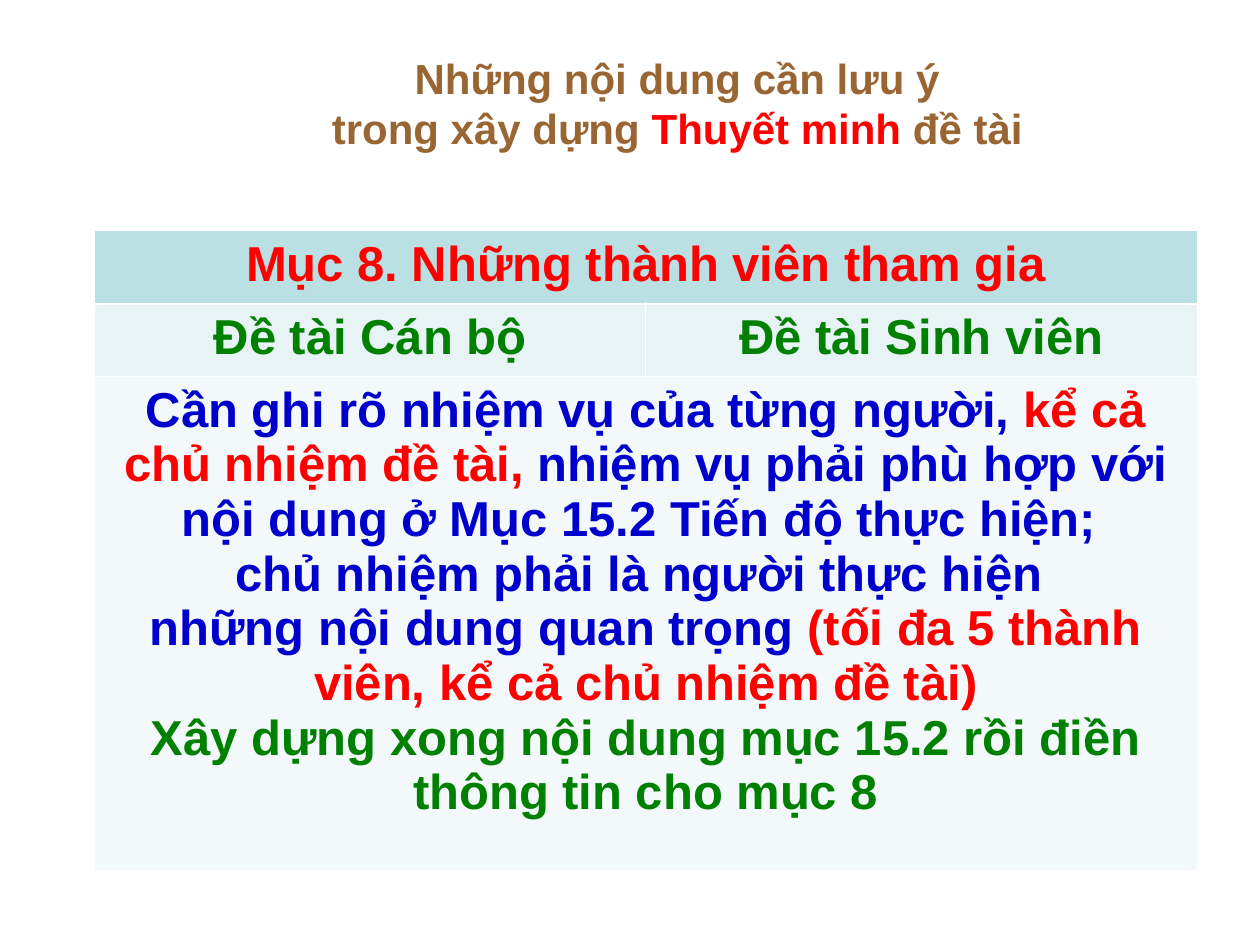
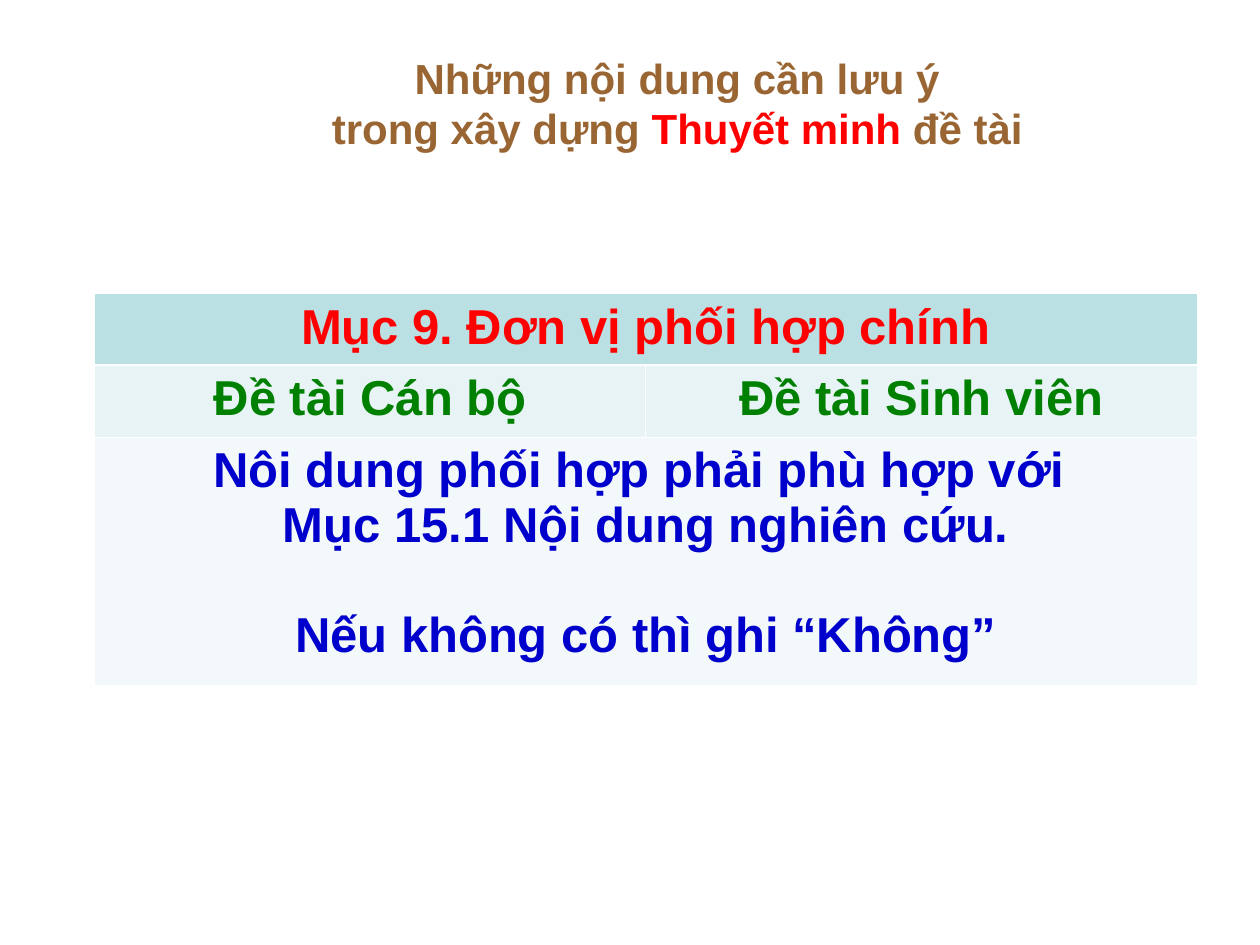
import pptx
import pptx.dml.color
import pptx.enum.text
import pptx.oxml.ns
import pptx.util
from lxml import etree
from pptx.util import Inches

FONT = "Arial"
COLORS = {
    "brown": "996633", "red": "FF0000", "green": "008000", "blue": "0000CC",
    "white": "FFFFFF", "header": "BBE0E3", "columns": "E7F3F4", "body": "F3F9FA",
}
TITLE = [("Những nội dung cần lưu ý\ntrong xây dựng ", "brown"),
         ("Thuyết minh ", "red"), ("đề tài", "brown")]
COLUMN_HEADINGS = ["Đề tài Cán bộ", "Đề tài Sinh viên"]
TABLE_LEFT, TABLE_WIDTH = 0.75, 8.75
THIN, THICK = 0.45, 1.47

MEMBERS = [
    [("Cần ghi rõ nhiệm vụ của từng người, ", "blue"),
     ("kể cả chủ nhiệm đề tài,", "red"),
     (" nhiệm vụ phải phù hợp với nội dung ở Mục 15.2 Tiến độ thực hiện; ", "blue")],
    [("chủ nhiệm phải là người thực hiện ", "blue")],
    [("những nội dung quan trọng ", "blue"),
     ("(tối đa 5 thành viên, kể cả chủ nhiệm đề tài)", "red")],
    [("Xây dựng xong nội dung mục 15.2 rồi điền thông tin cho mục 8", "green")],
]
PARTNERS = [
    [("Nôi dung phối hợp phải phù hợp với ", "blue")],
    [("Mục 15.1 Nội dung nghiên cứu.", "blue")],
    [("Nếu không có thì ghi “Không”", "blue")],
]


def color(name):
    return pptx.dml.color.RGBColor.from_string(COLORS[name])


def write_text(paragraph, runs, size=28, bold=True, space_before=0):
    """Write (text, colour name) runs, centred; a newline becomes a line break."""
    paragraph.alignment = pptx.enum.text.PP_ALIGN.CENTER
    paragraph.space_before = pptx.util.Pt(space_before)
    for text, color_name in runs:
        for index, line in enumerate(text.split("\n")):
            if index:
                paragraph.add_line_break()
            run = paragraph.add_run()
            run.text = line
            run.font.name = FONT
            run.font.size = pptx.util.Pt(size)
            run.font.bold = bold
            run.font.color.rgb = color(color_name)


def add_title(slide):
    title = slide.shapes.title
    title.left, title.top = Inches(1.25), Inches(0.3)
    title.width, title.height = Inches(8.25), Inches(1.03)
    frame = title.text_frame
    frame.auto_size = pptx.enum.text.MSO_AUTO_SIZE.NONE
    frame.vertical_anchor = pptx.enum.text.MSO_ANCHOR.MIDDLE
    write_text(frame.paragraphs[0], TITLE, size=24)


def style_cell(cell, fill, top=THIN, bottom=THIN):
    """Give a cell its white borders and its fill."""
    properties = cell._tc.get_or_add_tcPr()
    qn = pptx.oxml.ns.qn
    for side, width in (("L", THIN), ("R", THIN), ("T", top), ("B", bottom)):
        line = etree.SubElement(properties, qn(f"a:ln{side}"), w=str(pptx.util.Pt(width)))
        solid = etree.SubElement(line, qn("a:solidFill"))
        etree.SubElement(solid, qn("a:srgbClr"), val=COLORS["white"])
    cell.fill.solid()
    cell.fill.fore_color.rgb = color(fill)


def add_section_table(slide, top, heading, body, heading_height, body_height, last_gap=0):
    """Heading row, two column headings, and a body row across both columns."""
    heights = [heading_height, heading_height, body_height]
    table = slide.shapes.add_table(
        3, 2, Inches(TABLE_LEFT), Inches(top),
        Inches(TABLE_WIDTH), Inches(sum(heights))).table
    for row, height in zip(table.rows, heights):
        row.height = Inches(height)
    for column in range(2):
        style_cell(table.cell(0, column), "header", bottom=THICK)
        style_cell(table.cell(1, column), "columns", top=THICK)
        style_cell(table.cell(2, column), "body")
    for row in (0, 2):
        table.cell(row, 0).merge(table.cell(row, 1))

    write_text(table.cell(0, 0).text_frame.paragraphs[0], [(heading, "red")])
    for column, text in enumerate(COLUMN_HEADINGS):
        write_text(table.cell(1, column).text_frame.paragraphs[0], [(text, "green")])
    frame = table.cell(2, 0).text_frame
    for index, runs in enumerate(body):
        paragraph = frame.add_paragraph() if index else frame.paragraphs[0]
        gap = last_gap if index == len(body) - 1 else 0
        write_text(paragraph, runs, space_before=gap)


def add_section_slide(presentation, **section):
    slide = presentation.slides.add_slide(presentation.slide_layouts.get_by_name("Title Only"))
    add_title(slide)
    add_section_table(slide, **section)


def main():
    presentation = pptx.Presentation()
    presentation.slide_width, presentation.slide_height = Inches(10), Inches(7.5)
    add_section_slide(presentation, top=1.83, heading="Mục 8. Những thành viên tham gia",
                      body=MEMBERS, heading_height=0.58, body_height=3.92)
    add_section_slide(presentation, top=2.33, heading="Mục 9. Đơn vị phối hợp chính",
                      body=PARTNERS, heading_height=0.57, body_height=1.97, last_gap=32)
    presentation.save("out.pptx")


if __name__ == "__main__":
    main()
